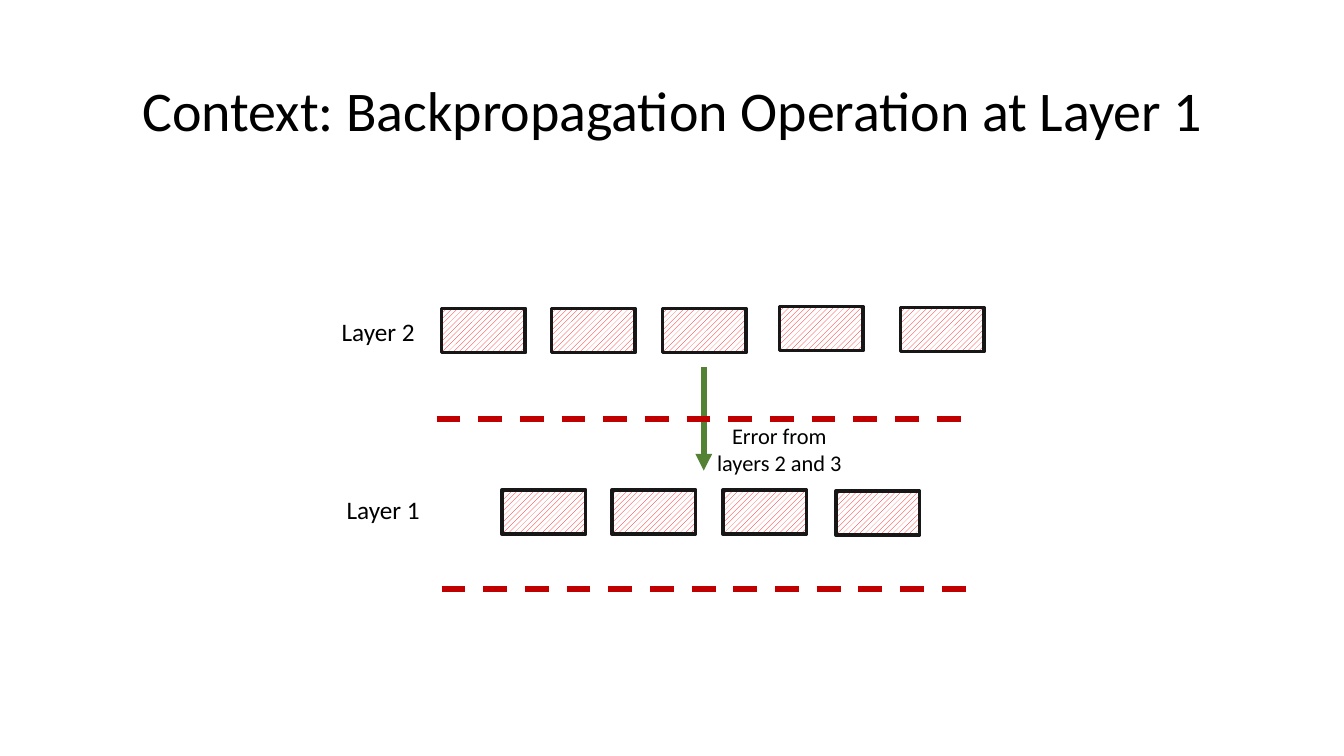
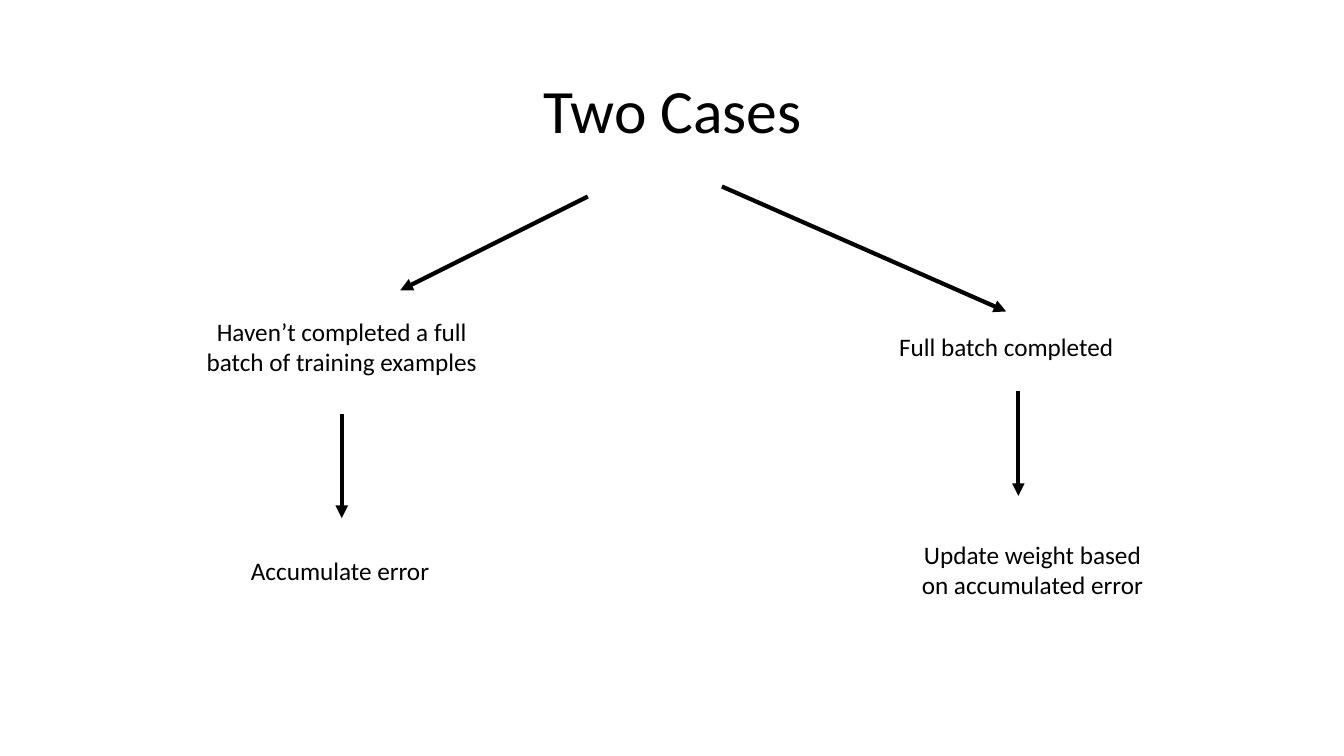
"""Build two slides on backpropagation at a layer and its two batch cases."""
import pptx
import pptx.dml.color
import pptx.enum.dml
import pptx.enum.shapes
import pptx.enum.text
import pptx.oxml
import pptx.oxml.ns
import pptx.util

Inches = pptx.util.Inches
Pt = pptx.util.Pt
Align = pptx.enum.text.PP_ALIGN
Anchor = pptx.enum.text.MSO_ANCHOR

THEME = {
    "font": "Calibri",
    "ink": "000000",
    "edge": "181717",
    "hatch": "FF0000",
    "paper": "FFFFFF",
    "error": "548235",
    "split": "C00000",
    "body": 18,
    "note": 16,
}
TITLE = (0.92, 0.4, 11.5, 1.45)
CELL = (0.83, 0.44)
DASH = 5.21

SLIDES = [
    {
        "title": ("Context: Backpropagation Operation at Layer 1", 40),
        "arrows": [((6.98, 3.64), (6.98, 4.67))],
        "stroke": ("error", 4),
        "texts": [
            ("Error from layers 2 and 3", (6.98, 4.14, 1.5, 0.64), "note", Align.CENTER),
            ("Layer 1", (3.34, 4.85, 1.03, 0.4), "body", Align.LEFT),
            ("Layer 2", (3.29, 3.09, 1.03, 0.4), "body", Align.LEFT),
        ],
        "cells": [
            (4.98, 4.86), (6.07, 4.86), (7.17, 4.86), (8.29, 4.87),
            (4.38, 3.06), (5.47, 3.06), (6.57, 3.06), (7.73, 3.04), (8.93, 3.05),
        ],
        "dashes": [(4.38, 5.84), (4.33, 4.16)],
    },
    {
        "title": ("Two Cases", 44),
        "arrows": [
            ((5.83, 1.95), (3.97, 2.88)),
            ((7.16, 1.85), (9.98, 3.09)),
            ((3.39, 4.11), (3.39, 5.14)),
            ((10.1, 3.88), (10.1, 4.92)),
        ],
        "stroke": ("ink", 3),
        "texts": [
            ("Haven’t completed a full batch of training examples",
             (1.76, 3.09, 3.26, 0.71), "body", Align.CENTER),
            ("Full batch completed", (8.35, 3.24, 3.26, 0.4), "body", Align.CENTER),
            ("Accumulate error", (2.39, 5.46, 2.01, 0.4), "body", Align.LEFT),
            ("Update weight based on accumulated error",
             (8.98, 5.3, 2.52, 0.71), "body", Align.CENTER),
        ],
        "cells": [],
        "dashes": [],
    },
]


def tint(name):
    return pptx.dml.color.RGBColor.from_string(THEME[name])


def style(item, values):
    for name, value in values.items():
        setattr(item, name, value)


def write(slide, words, place, size, align, anchor=Anchor.TOP, space=1.0):
    frame = slide.shapes.add_textbox(*map(Inches, place)).text_frame
    style(frame, {"word_wrap": True, "vertical_anchor": anchor})
    para = frame.paragraphs[0]
    style(para, {"alignment": align, "line_spacing": space})
    run = para.add_run()
    run.text = words
    style(run.font, {"name": THEME["font"], "size": Pt(size)})
    run.font.color.rgb = tint("ink")


def draw(slide, start, end, color, width, arrow=False):
    kind = pptx.enum.shapes.MSO_CONNECTOR.STRAIGHT
    link = slide.shapes.add_connector(kind, *map(Inches, start + end))
    link.line.color.rgb = tint(color)
    link.line.width = Pt(width)
    if arrow:
        tail = pptx.oxml.parse_xml(
            f'<a:tailEnd {pptx.oxml.ns.nsdecls("a")} type="triangle"/>')
        link.line._get_or_add_ln().append(tail)
    else:
        link.line.dash_style = pptx.enum.dml.MSO_LINE.DASH
    blank = pptx.oxml.parse_xml(f'<a:effectLst {pptx.oxml.ns.nsdecls("a")}/>')
    link._element.spPr.append(blank)


def hatch(slide, spot):
    kind = pptx.enum.shapes.MSO_SHAPE.RECTANGLE
    cell = slide.shapes.add_shape(kind, *map(Inches, spot + CELL))
    cell.shadow.inherit = False
    cell.fill.patterned()
    cell.fill.pattern = pptx.enum.dml.MSO_PATTERN.WIDE_UPWARD_DIAGONAL
    cell.fill.fore_color.rgb = tint("hatch")
    cell.fill.back_color.rgb = tint("paper")
    cell.line.color.rgb = tint("edge")
    cell.line.width = Pt(2.5)


def build(deck, data):
    slide = deck.slides.add_slide(deck.slide_layouts[6])
    words, size = data["title"]
    write(slide, words, TITLE, size, Align.CENTER, Anchor.MIDDLE, 0.9)
    for start, end in data["arrows"]:
        draw(slide, start, end, *data["stroke"], arrow=True)
    for words, place, role, align in data["texts"]:
        write(slide, words, place, THEME[role], align)
    for spot in data["cells"]:
        hatch(slide, spot)
    for left, top in data["dashes"]:
        draw(slide, (left, top), (left + DASH, top), "split", 4.25)


def main():
    deck = pptx.Presentation()
    style(deck, {"slide_width": Inches(13.33), "slide_height": Inches(7.5)})
    for data in SLIDES:
        build(deck, data)
    deck.save("out.pptx")


if __name__ == "__main__":
    main()
